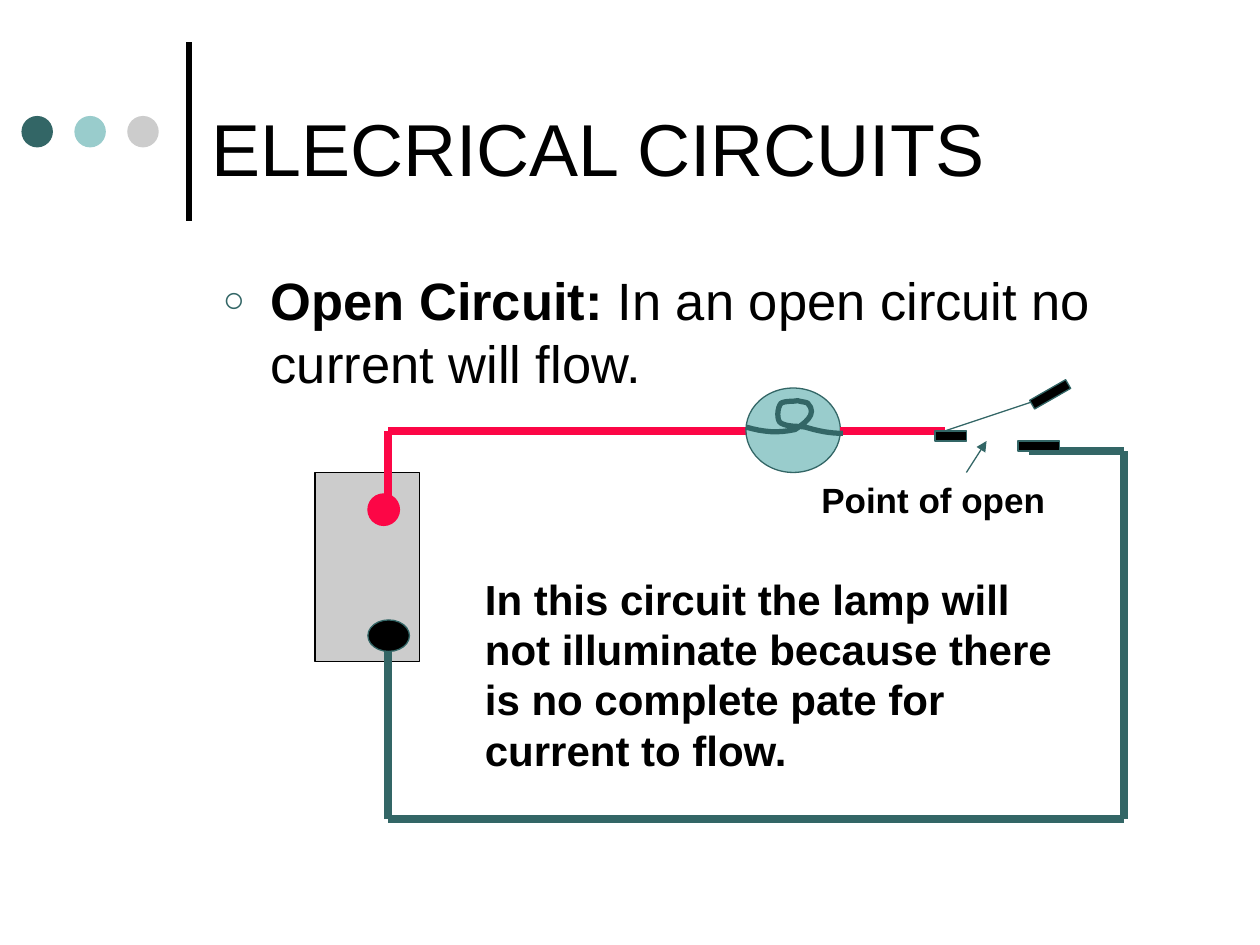
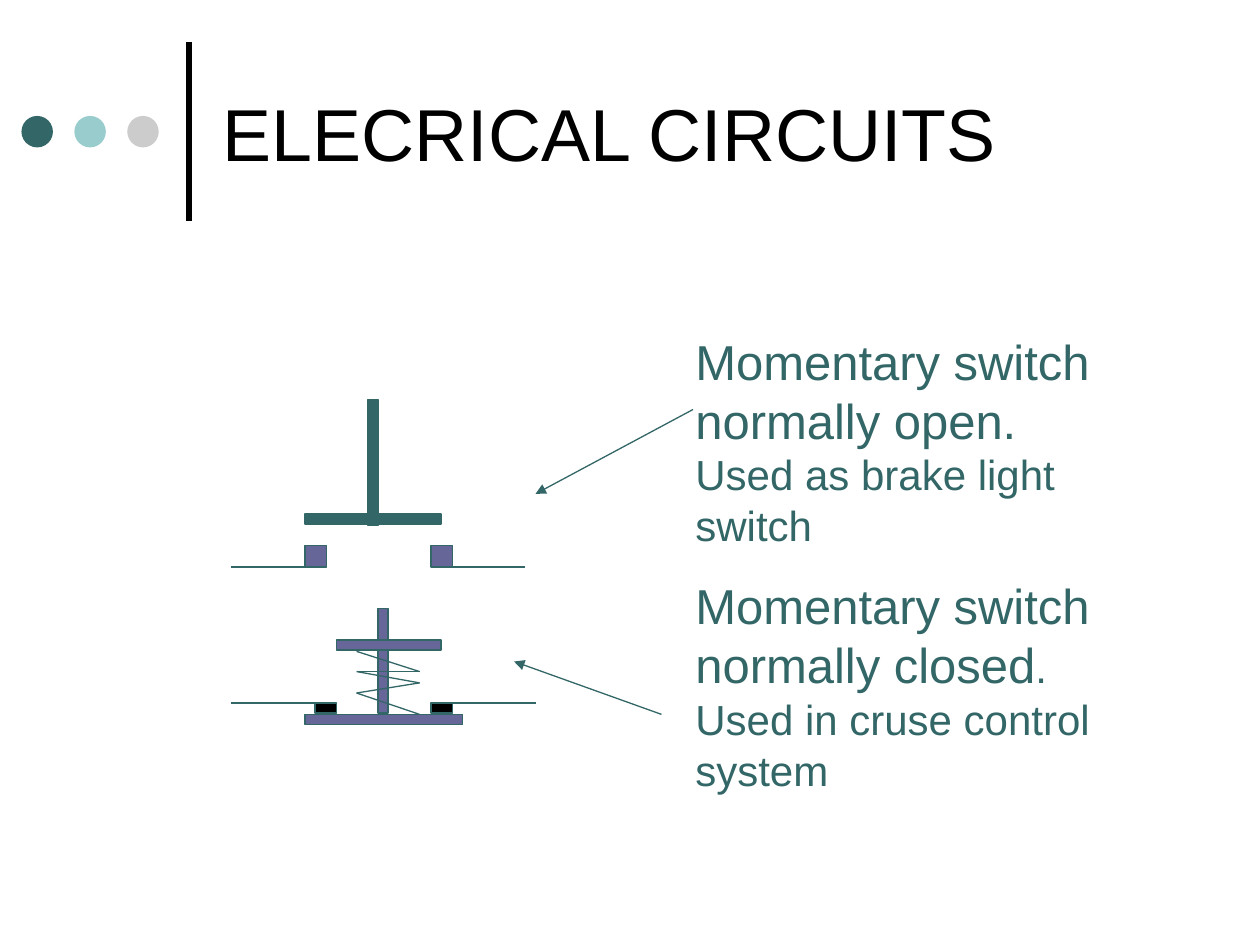
from itertools import pairwise

from lxml.etree import SubElement
from pptx import Presentation
from pptx.dml.color import RGBColor
from pptx.enum.shapes import MSO_CONNECTOR as LINK, MSO_SHAPE as SHAPE
from pptx.enum.text import MSO_ANCHOR as ANCHOR
from pptx.oxml.ns import qn
from pptx.util import Inches, Pt

TEAL = RGBColor(0x33, 0x66, 0x66)
AQUA = RGBColor(0x99, 0xCC, 0xCC)
GRAY = RGBColor(0xCC, 0xCC, 0xCC)
PLUM = RGBColor(0x66, 0x66, 0x99)
RED = RGBColor(0xFC, 0x06, 0x46)
BLACK = RGBColor(0, 0, 0)
FONT = "Arial"
RECT, OVAL = SHAPE.RECTANGLE, SHAPE.OVAL


def draw(slide, kind, box, fill, edge=TEAL, turn=0):
    """Add a filled shape; edge=None leaves out its outline."""
    shape = slide.shapes.add_shape(kind, *map(Inches, box))
    shape.shadow.inherit = False
    shape.rotation = turn
    shape.fill.solid()
    shape.fill.fore_color.rgb = fill
    if edge is None:
        shape.line.fill.background()
    else:
        shape.line.color.rgb = edge
        shape.line.width = Pt(0.75)


def wire(slide, points, color=TEAL, width=0.75, arrow=False):
    """Join the points in turn with straight connectors."""
    for start, end in pairwise(points):
        link = slide.shapes.add_connector(LINK.STRAIGHT, *map(Inches, start + end))
        link.line.color.rgb = color
        link.line.width = Pt(width)
        if arrow:
            SubElement(link.line._get_or_add_ln(), qn("a:tailEnd"), type="triangle")
        SubElement(link._element.spPr, qn("a:effectLst"))


deck = Presentation()
deck.slide_width, deck.slide_height = Inches(10), Inches(7.5)
opened, moment = [deck.slides.add_slide(deck.slide_layouts[6]) for _ in range(2)]

# Shared band: upright rule and three dots
for slide in (opened, moment):
    wire(slide, [(1.5, 1.75), (1.5, 0.33)], BLACK, 3)
    for i, color in enumerate((TEAL, AQUA, GRAY)):
        draw(slide, OVAL, (0.17 + 0.42 * i, 0.92, 0.25, 0.25), color, None)

# Open circuit: battery, lamp, wires and switch
draw(opened, RECT, (2.5, 3.75, 0.83, 1.5), GRAY, BLACK)
wire(opened, [(3.08, 4.08), (3.08, 3.42), (5.92, 3.42)], RED, 4.5)
draw(opened, OVAL, (5.92, 3.08, 0.75, 0.67), AQUA)
wire(opened, [(6.67, 3.42), (7.5, 3.42)], RED, 4.5)
wire(opened, [(8.17, 3.58), (8.92, 3.58), (8.92, 6.5), (3.08, 6.5), (3.08, 5)], TEAL, 4.5)
wire(opened, [(7.5, 3.42), (8.25, 3.17)])
for box, turn in (
    ((8.08, 3.5, 0.33, 0.08), 0),
    ((8.17, 3.09, 0.33, 0.08), 330.2),
    ((7.42, 3.42, 0.25, 0.08), 0),
):
    draw(opened, RECT, box, BLACK, turn=turn)

# Lamp filament: cubic curves, each from the end of the one before
start = (5.92, 3.39)
curves = [
    [(6.06, 3.43), (6.17, 3.44), (6.31, 3.41)],
    [(6.37, 3.37), (6.5, 3.29), (6.41, 3.2)],
    [(6.39, 3.19), (6.36, 3.19), (6.33, 3.18)],
    [(6.29, 3.19), (6.24, 3.18), (6.2, 3.2)],
    [(6.17, 3.23), (6.16, 3.34), (6.2, 3.36)],
    [(6.26, 3.39), (6.32, 3.38), (6.39, 3.39)],
    [(6.49, 3.42), (6.58, 3.44), (6.69, 3.44)],
]
pen = opened.shapes.build_freeform(*map(Inches, start))
steps = 8
dots = []
for curve in curves:
    for step in range(1, steps + 1):
        t = step / steps
        parts = ((1 - t) ** 3, 3 * t * (1 - t) ** 2, 3 * t * t * (1 - t), t ** 3)
        dots.append([
            Inches(sum(part * spot[axis] for part, spot in zip(parts, [start] + curve)))
            for axis in (0, 1)
        ])
    start = curve[-1]
pen.add_line_segments(dots, close=False)
coil = pen.convert_to_shape()
coil.shadow.inherit = False
coil.fill.background()
coil.line.color.rgb = TEAL
coil.line.width = Pt(3)

wire(opened, [(7.67, 3.75), (7.83, 3.5)], arrow=True)
draw(opened, OVAL, (2.92, 3.92, 0.25, 0.25), RED, RED)
draw(opened, OVAL, (2.92, 4.92, 0.33, 0.25), BLACK)

# Momentary switches: normally open above, normally closed below
for box, fill in (
    ((2.92, 3.17, 0.08, 1), TEAL),
    ((2.42, 4.08, 1.08, 0.08), TEAL),
    ((3.42, 4.33, 0.17, 0.17), PLUM),
    ((2.42, 4.33, 0.17, 0.17), PLUM),
    ((3, 4.83, 0.08, 0.83), PLUM),
    ((2.42, 5.67, 1.25, 0.08), PLUM),
    ((3.42, 5.58, 0.17, 0.08), BLACK),
    ((2.5, 5.58, 0.17, 0.08), BLACK),
    ((2.67, 5.08, 0.83, 0.08), PLUM),
):
    draw(moment, RECT, box, fill)
for left, right, y in ((2.42, 4.17, 4.5), (2.5, 4.25, 5.58)):
    wire(moment, [(left, y), (1.83, y)])
    wire(moment, [(3.58, y), (right, y)])
spring = [(2.83, 5.17), (3.33, 5.33), (2.83, 5.33), (3.33, 5.42), (2.83, 5.5), (3.33, 5.67)]
wire(moment, spring)
wire(moment, [(5.5, 3.25), (4.25, 3.92)], arrow=True)
wire(moment, [(5.25, 5.67), (4.08, 5.25)], arrow=True)

# Texts: slide, box, anchor, space before, colour, paragraphs of (words, size, bold)
title = [[("ELECRICAL CIRCUITS", 42, False)]]
body = [[("Open Circuit:", 30, True), (" In an open circuit no current will flow.", 30, False)]]
point = [[("Point of open", 20, True)]]
reason = [[("In this circuit the lamp will not illuminate because there is no "
            "complete pate for current to flow.", 24, True)]]
uses = [
    [("Momentary switch normally open. ", 28, False),
     ("Used as brake light switch", 24, False)],
    [("Momentary switch normally closed", 28, False),
     (". Used in cruse control system", 24, False)],
]
for slide, box, anchor, gap, color, paras in (
    (opened, (1.58, 0.33, 7.67, 1.67), ANCHOR.MIDDLE, 0, BLACK, title),
    (moment, (1.67, 0.21, 7.67, 1.67), ANCHOR.MIDDLE, 0, BLACK, title),
    (opened, (1.67, 2.08, 7.67, 4.5), ANCHOR.TOP, 7.5, BLACK, body),
    (opened, (6.42, 3.75, 2.5, 0.44), ANCHOR.TOP, 12.5, BLACK, point),
    (opened, (3.75, 4.5, 4.92, 1.7), ANCHOR.TOP, 15, BLACK, reason),
    (moment, (5.42, 2.58, 3.58, 3.78), ANCHOR.TOP, 15, TEAL, uses),
):
    frame = slide.shapes.add_textbox(*map(Inches, box)).text_frame
    frame.word_wrap = True
    frame.vertical_anchor = anchor
    for i, runs in enumerate(paras):
        para = frame.add_paragraph() if i else frame.paragraphs[0]
        para.space_before = Pt(gap)
        for words, size, bold in runs:
            run = para.add_run()
            run.text = words
            look = {"name": FONT, "size": Pt(size), "bold": bold}
            for key, value in look.items():
                setattr(run.font, key, value)
            run.font.color.rgb = color
        if paras is body:
            props = para._p.get_or_add_pPr()
            props.set("marL", str(Inches(0.38)))
            props.set("indent", str(Inches(-0.38)))
            tint = SubElement(props, qn("a:buClr"))
            SubElement(tint, qn("a:srgbClr"), val=str(TEAL))
            SubElement(props, qn("a:buSzPct"), val="70000")
            SubElement(props, qn("a:buFont"), typeface=FONT)
            SubElement(props, qn("a:buChar"), char="○")

deck.save("out.pptx")
